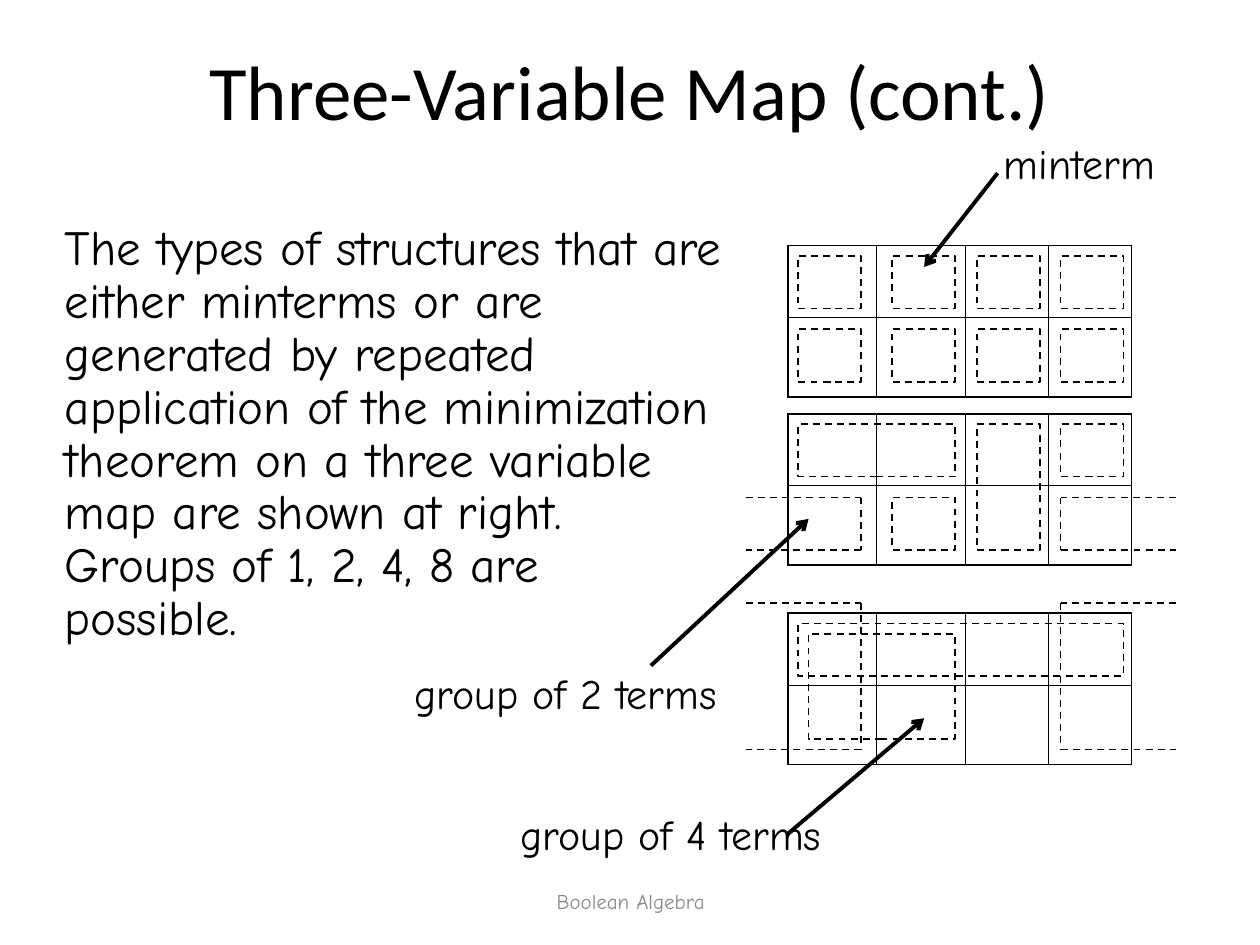
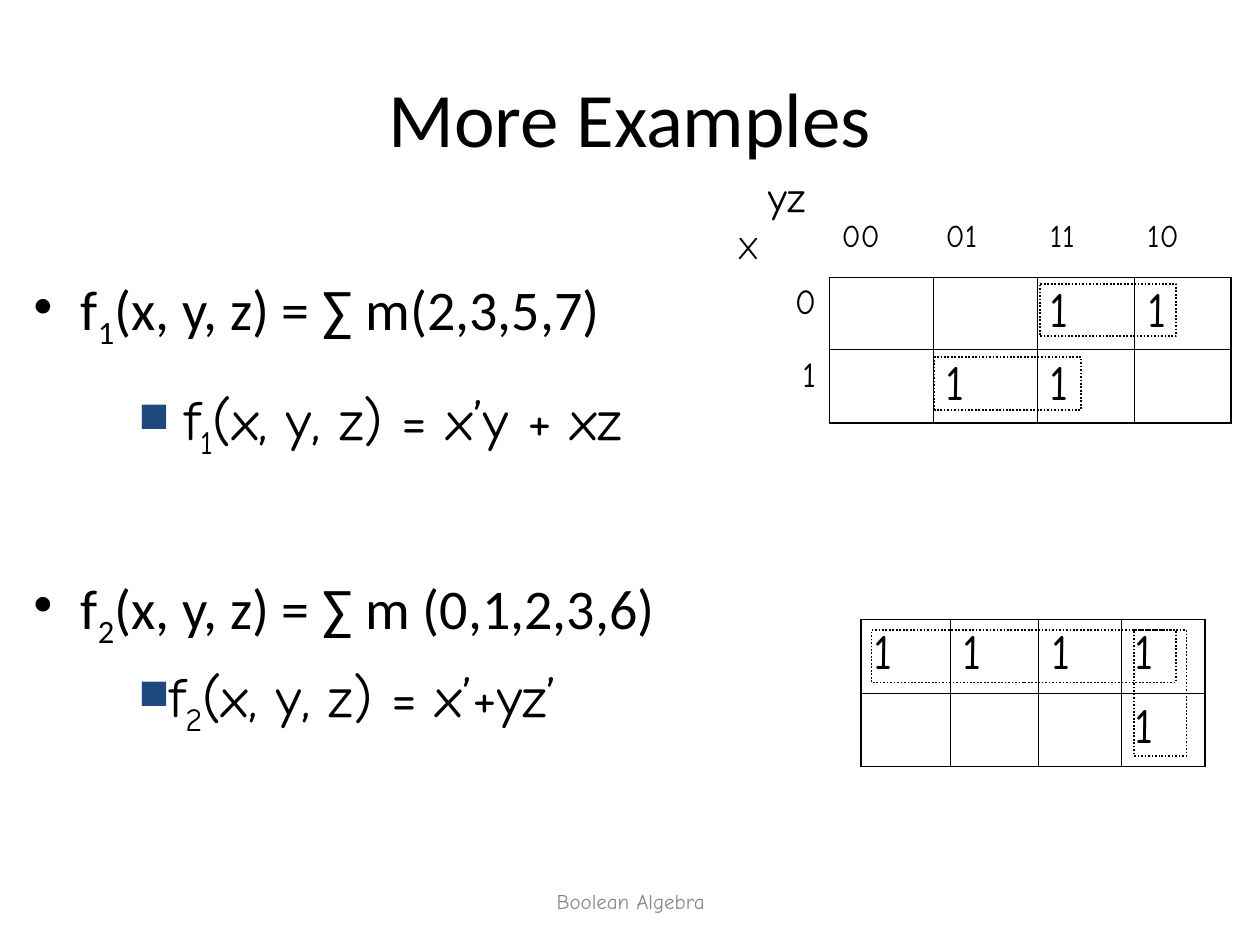
from dataclasses import dataclass
from itertools import pairwise

from lxml.etree import SubElement
from pptx import Presentation
from pptx.dml.color import RGBColor
from pptx.enum.dml import MSO_LINE
from pptx.enum.shapes import MSO_CONNECTOR, MSO_SHAPE
from pptx.enum.text import MSO_ANCHOR, PP_ALIGN
from pptx.oxml.ns import qn
from pptx.util import Cm, Pt


@dataclass(frozen=True)
class Theme:
    ink: str = "000000"
    footer_ink: str = "898989"
    accent: str = "1F497D"
    title_font: str = "Calibri"
    body_font: str = "Comic Neue"
    title: int = 44
    formula: int = 32
    body: int = 28
    callout: int = 24
    row_label: int = 20
    column_label: int = 18
    footer: int = 12
    thin: float = 0.45
    loop: float = 1
    heavy: float = 1.08
    arrow: float = 2.25


THEME = Theme()

FOOTER = "Boolean Algebra"
FOOTER_BOX = (8.69, 17.65, 8.05, 1.02)

MAP_TITLE = "Three-Variable Map (cont.)"
MAP_TEXT = (
    "The types of structures that are either minterms or are generated by repeated "
    "application of the minimization theorem on a three variable map are shown at right. \n"
    "Groups of 1, 2, 4, 8 are possible."
)
MAP_TEXT_BOX = (1.06, 4.37, 13.76, 9.98)
MAP_LEFT = 15.88
MAP_COLUMNS = (1.79, 1.79, 1.67, 1.68)
MAP_ROWS = (1.45, 1.6)
EMPTY_MAP = [[""] * 4] * 2

LOOP_LEFTS = (16.09, 17.99, 19.69, 21.38)
LOOP_TOPS = (0.21, 1.69)
LOOP_WIDTH, LOOP_HEIGHT = 1.27, 1.06
LOOP_INSET = 0.21
WRAP_SIDES = ((15.03, LOOP_LEFTS[0] + LOOP_WIDTH), (23.71, LOOP_LEFTS[3]))

MAPS = [
    {
        "top": 4.95,
        "loops": [(column, row, column, row) for row in range(2) for column in range(4)],
    },
    {
        "top": 8.34,
        "loops": [(0, 0, 1, 0), (2, 0, 2, 1), (3, 0, 3, 0), (1, 1, 1, 1)],
        "wrap": (1.69, 2.75),
    },
    {
        "top": 12.36,
        "loops": [(0, 0, 3, 0)],
        "inset_loops": [(0, 0, 1, 1)],
        "wrap": (-0.21, 2.75),
    },
]

CALLOUTS = [
    ("minterm", (19.99, 2.64, 3.56, 1.27), (20.11, 3.49), (18.63, 5.38)),
    ("group of 2 terms", (8.1, 13.34, 6.65, 1.27), (13.12, 13.42), (16.3, 10.46)),
    ("group of 4 terms", (10.24, 16.18, 6.6, 1.27), (15.88, 16.81), (18.63, 14.48)),
]

EXAMPLES_TITLE = "More Examples"
FUNCTIONS = [
    ("f", "1", "(x, y, z) = ∑ m(2,3,5,7)"),
    ("f", "2", "(x, y, z) = ∑ m (0,1,2,3,6)"),
]
FUNCTIONS_BOX = (0.43, 5.41, 22.86, 12.57)
RESULTS = [
    (("f", "1", "(x, y, z) = x’y + xz"), (2.54, 7.62, 10.34, 1.8), 0.93),
    (("f", "2", "(x, y, z) = x’+yz’"), (2.54, 13.21, 8.97, 1.8), 0.53),
]
LABELLED_MAP = [
    ["", "00", "01", "11", "10"],
    ["0", "", "", "1", "1"],
    ["1", "", "1", "1", ""],
]
LABELLED_COLUMNS = (2.1, 2.1, 2.1, 1.96, 1.95)
LABELLED_ROWS = (2.19, 1.47, 1.47)
PLAIN_MAP = [["1", "1", "1", "1"], ["", "", "", "1"]]
EXAMPLE_LOOPS = [
    (20.96, 5.72, 2.75, LOOP_HEIGHT),
    (18.84, 7.2, 2.96, LOOP_HEIGHT),
    (17.57, 12.7, 6.14, LOOP_HEIGHT),
    (22.86, 12.7, LOOP_HEIGHT, 2.54),
]


def lengths(values):
    return [Cm(value) for value in values]


def write_text(paragraph, text, size=THEME.body, font=THEME.body_font, color=THEME.ink,
               align=None, space_before=0, line_spacing=None, indent=0,
               bullet=None, bullet_color=THEME.ink, bullet_size=100):
    properties = paragraph._p.get_or_add_pPr()
    if indent:
        properties.set("marL", str(Cm(indent)))
    if bullet:
        properties.set("indent", str(-Cm(indent)))
        color_element = SubElement(properties, qn("a:buClr"))
        SubElement(color_element, qn("a:srgbClr"), val=bullet_color)
        SubElement(properties, qn("a:buSzPct"), val=str(bullet_size * 1000))
        SubElement(properties, qn("a:buChar"), char=bullet)
    paragraph.alignment = align
    paragraph.space_before = Pt(space_before)
    paragraph.line_spacing = line_spacing
    parts = (text,) if isinstance(text, str) else text
    for position, part in enumerate(parts):
        for number, line in enumerate(part.split("\n")):
            if number:
                paragraph.add_line_break()
            run = paragraph.add_run()
            run.text = line
            run.font.size = Pt(size)
            run.font.name = font
            run.font.color.rgb = RGBColor.from_string(color)
            if position % 2:
                run._r.get_or_add_rPr().set("baseline", "-25000")


def add_text(slide, box, text, anchor=MSO_ANCHOR.TOP, wrap=True, **text_format):
    frame = slide.shapes.add_textbox(*lengths(box)).text_frame
    frame.word_wrap = wrap
    frame.vertical_anchor = anchor
    write_text(frame.paragraphs[0], text, **text_format)
    return frame


def style_line(line, width, dash=None):
    line.color.rgb = RGBColor.from_string(THEME.ink)
    line.width = Pt(width)
    if dash:
        line.dash_style = dash


def add_loop(slide, box, dash):
    shape = slide.shapes.add_shape(MSO_SHAPE.RECTANGLE, *lengths(box))
    shape.shadow.inherit = False
    shape.fill.background()
    style_line(shape.line, THEME.loop, dash)


def add_line(slide, start, end, width, dash=None, arrow=False):
    connector = slide.shapes.add_connector(MSO_CONNECTOR.STRAIGHT, *lengths(start + end))
    style_line(connector.line, width, dash)
    if arrow:
        SubElement(connector.line._get_or_add_ln(), qn("a:tailEnd"), type="arrow")
    SubElement(connector._element.spPr, qn("a:effectLst"))


def set_border(cell, side, width):
    line = SubElement(cell._tc.get_or_add_tcPr(), qn(f"a:ln{side}"), w=str(Pt(width)))
    if width:
        fill = SubElement(line, qn("a:solidFill"))
        SubElement(fill, qn("a:srgbClr"), val=THEME.ink)
    else:
        SubElement(line, qn("a:noFill"))


def add_map(slide, left, top, columns, rows, values, headers=0):
    box = lengths((left, top, sum(columns), sum(rows)))
    table = slide.shapes.add_table(len(rows), len(columns), *box).table
    table.first_row = table.horz_banding = False
    for column, width in zip(table.columns, columns):
        column.width = Cm(width)
    for row, height in zip(table.rows, rows):
        row.height = Cm(height)

    def in_map(row, column):
        return headers <= row < len(rows) and headers <= column < len(columns)

    for row, row_values in enumerate(values):
        for column, value in enumerate(row_values):
            cell = table.cell(row, column)
            neighbours = {"L": (row, column - 1), "R": (row, column + 1),
                          "T": (row - 1, column), "B": (row + 1, column)}
            for side, (next_row, next_column) in neighbours.items():
                inside = 0 <= next_row < len(rows) and 0 <= next_column < len(columns)
                drawn = in_map(row, column) or in_map(next_row, next_column)
                weight = THEME.thin if inside else THEME.heavy
                set_border(cell, side, weight if drawn else 0)
            cell.fill.background()
            if not value:
                continue
            text_format = {}
            if row < headers:
                cell.margin_top = Cm(1.02)
                text_format = {"size": THEME.column_label}
            elif column < headers:
                text_format = {"size": THEME.row_label, "align": PP_ALIGN.RIGHT}
            write_text(cell.text_frame.paragraphs[0], value, **text_format)
    return table


def add_slide(presentation, title, title_top):
    slide = presentation.slides.add_slide(presentation.slide_layouts[6])
    add_text(slide, (1.27, title_top, 22.86, 3.18), title, MSO_ANCHOR.MIDDLE,
             size=THEME.title, font=THEME.title_font, align=PP_ALIGN.CENTER)
    add_text(slide, FOOTER_BOX, FOOTER, MSO_ANCHOR.MIDDLE,
             size=THEME.footer, color=THEME.footer_ink, align=PP_ALIGN.CENTER)
    return slide


def loop_box(map_top, cells, inset=0):
    first_column, first_row, last_column, last_row = cells
    left = LOOP_LEFTS[first_column] + inset
    top = map_top + LOOP_TOPS[first_row] + inset
    right = LOOP_LEFTS[last_column] + LOOP_WIDTH
    bottom = map_top + LOOP_TOPS[last_row] + LOOP_HEIGHT - inset
    return left, top, right - left, bottom - top


def build_map_slide(presentation):
    slide = add_slide(presentation, MAP_TITLE, 0.21)
    for karnaugh in MAPS:
        top = karnaugh["top"]
        add_map(slide, MAP_LEFT, top, MAP_COLUMNS, MAP_ROWS, EMPTY_MAP)
        for cells in karnaugh["loops"]:
            add_loop(slide, loop_box(top, cells), MSO_LINE.DASH)
        for cells in karnaugh.get("inset_loops", []):
            add_loop(slide, loop_box(top, cells, LOOP_INSET), MSO_LINE.DASH)
        if "wrap" in karnaugh:
            upper, lower = (top + offset for offset in karnaugh["wrap"])
            for outer, inner in WRAP_SIDES:
                corners = [(outer, upper), (inner, upper), (inner, lower), (outer, lower)]
                for start, end in pairwise(corners):
                    add_line(slide, start, end, THEME.loop, MSO_LINE.DASH)
    add_text(slide, MAP_TEXT_BOX, MAP_TEXT, line_spacing=0.9)
    for label, box, start, end in CALLOUTS:
        add_line(slide, start, end, THEME.arrow, arrow=True)
        add_text(slide, box, label, wrap=False, size=THEME.callout)


def build_examples_slide(presentation):
    slide = add_slide(presentation, EXAMPLES_TITLE, 0.76)
    function_format = {"size": THEME.formula, "font": THEME.title_font,
                       "bullet": "•", "indent": 0.95}
    frame = add_text(slide, FUNCTIONS_BOX, FUNCTIONS[0], **function_format)
    write_text(frame.add_paragraph(), FUNCTIONS[1], space_before=127, **function_format)
    for formula, box, indent in RESULTS:
        add_text(slide, box, formula, wrap=False, size=THEME.formula, indent=indent,
                 bullet="■", bullet_color=THEME.accent, bullet_size=75)
    table = add_map(slide, 14.61, 3.39, LABELLED_COLUMNS, LABELLED_ROWS, LABELLED_MAP, headers=1)
    corner = table.cell(0, 0).text_frame
    write_text(corner.paragraphs[0], "yz", size=THEME.callout, indent=0.63)
    write_text(corner.add_paragraph(), "X", size=THEME.column_label, space_before=4.5)
    add_map(slide, 17.36, 12.49, MAP_COLUMNS, (1.48, 1.48), PLAIN_MAP)
    for box in EXAMPLE_LOOPS:
        add_loop(slide, box, MSO_LINE.ROUND_DOT)


def main():
    presentation = Presentation()
    presentation.slide_width = Cm(25.4)
    presentation.slide_height = Cm(19.05)
    build_map_slide(presentation)
    build_examples_slide(presentation)
    presentation.save("out.pptx")


if __name__ == "__main__":
    main()
